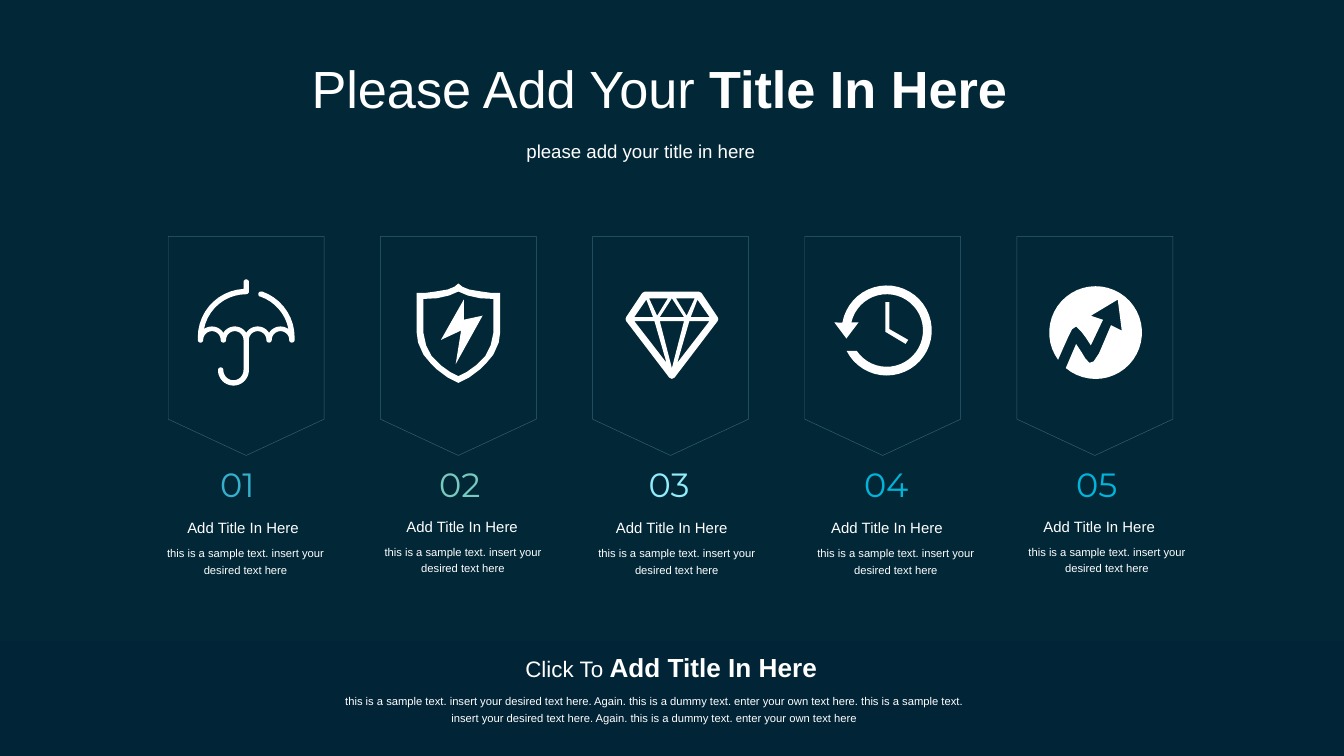
from dataclasses import dataclass
from math import ceil, cos, radians, sin

from lxml.etree import SubElement
from pptx import Presentation
from pptx.dml.color import RGBColor
from pptx.enum.shapes import MSO_SHAPE as Preset
from pptx.enum.text import MSO_AUTO_SIZE as AutoSize, PP_ALIGN as Align
from pptx.oxml.ns import qn
from pptx.util import Cm, Pt

NAVY = RGBColor(0x02, 0x28, 0x38)
FOOTER_NAVY = RGBColor(0x01, 0x24, 0x36)
WHITE = RGBColor(0xFF, 0xFF, 0xFF)
PALE_BLUE = RGBColor(0xA4, 0xE2, 0xFE)
BLUE = RGBColor(0x37, 0xB0, 0xCD)
GREEN = RGBColor(0x77, 0xCA, 0xC0)
AQUA = RGBColor(0x91, 0xEC, 0xFB)
CYAN = RGBColor(0x02, 0xB4, 0xDA)

Points = list[tuple[float, float]]

GRID = Cm(2.54) / 100  # unit of the banner and icon outlines
BANNER_LEFT, BANNER_TOP, BANNER_PITCH = 3.18, 4.47, 4.01
BANNER = [(0, 0), (116, 0), (116, 136), (58, 163), (0, 136)]
SAMPLE = "this is a sample text. insert your desired text here"
FOOTER_SENTENCES = f"{SAMPLE}. Again. this is a dummy text. enter your own text here"


@dataclass(frozen=True)
class Run:
    text: str
    size: float
    bold: bool = False
    color: RGBColor = WHITE
    font: str = "Arial"


@dataclass(frozen=True)
class Column:
    number: str
    color: RGBColor
    number_left: float
    body_left: float
    title_top: float
    icon: list[Points]


def arc(x: float, y: float, radius: float, start: float, end: float) -> Points:
    """Points on an arc; angles in degrees, clockwise from the right."""
    steps = max(2, ceil(abs(end - start) / 8))
    angles = [radians(start + (end - start) * i / steps) for i in range(steps + 1)]
    return [(x + radius * cos(a), y + radius * sin(a)) for a in angles]


def mirrored(half: Points, axis: float) -> Points:
    """Close a right half with its reflection."""
    return half + [(2 * axis - x, y) for x, y in reversed(half)]


def umbrella() -> list[Points]:
    def tip(x: float) -> Points:
        return arc(x, 77, 2, 0, 180)

    def underside(x: float) -> Points:
        return arc(x, 77, 6.5, 360, 180)

    outline = [
        tip(92), underside(83.5), tip(75), underside(66.5),
        arc(48.5, 99.5, 11.5, 0, 180), arc(39, 99.5, 2, 180, 360),
        arc(48.5, 99.5, 7.5, 180, 0),
        underside(49.5), tip(41), underside(32.5), tip(24),
        arc(58, 75, 36, 180, 267), arc(58, 34, 2, 180, 360),
        arc(58, 41, 2, 0, 90), arc(58, 75, 32, 270, 191),
        arc(32.5, 77, 10, 231, 328), arc(49.5, 77, 10, 212, 328),
        arc(66.5, 77, 10, 212, 328), arc(83.5, 77, 10, 212, 309),
        arc(58, 75, 32, 349, 289), arc(69, 43, 2, 109, 289),
        arc(58, 75, 36, 289, 360),
    ]
    return [sum(outline, [])]


def shield() -> list[Points]:
    outer = [(58, 35), (61, 37.5), (66, 39.5), (75, 41), (82, 42), (89, 42),
             (89, 72), (88, 79), (84, 88), (79, 94), (74, 99), (66, 105), (58, 109)]
    inner = [(58, 41), (65, 44), (74, 46), (84, 46.5), (84, 72), (82, 81),
             (78, 89), (71, 96), (64, 101), (58, 104)]
    bolt = [(62, 47), (45, 77), (60, 70), (56, 95), (76, 59), (62, 62)]
    return [mirrored(outer, 58), mirrored(inner, 58), bolt]


def diamond() -> list[Points]:
    outer = [(59, 41), (79, 41), (81, 42), (93, 60), (93.5, 61.5), (93, 63),
             (61, 105), (59, 106)]
    side_facets = [
        [(62, 46), (76, 46), (70, 59)],
        [(72, 63), (87, 63), (63, 94)],
        [(87, 60), (73, 60), (78, 47)],
    ]
    left_facets = [[(118 - x, y) for x, y in facet] for facet in side_facets]
    middle = [[(68, 63), (59, 98), (50, 63)], [(50, 60), (59, 46), (68, 60)]]
    return [mirrored(outer, 59), *side_facets, *left_facets, *middle]


def history_clock() -> list[Points]:
    arrow = [(40, 64), (31, 76), (22, 64)]
    ring = arc(61, 70, 33.5, 190, 513) + arc(61, 70, 27, 506, 193) + arrow
    hands = [(60, 49), (60, 71), (75, 80), (77, 77), (63, 69), (63, 49)]
    return [ring, hands]


def growth() -> list[Points]:
    zigzag = [(44, 80), (48, 86), (51, 91), (54, 94), (57, 93), (61, 87), (70, 66),
              (78, 70), (75, 47), (55, 59), (64, 62), (55, 81), (51, 75), (48, 71),
              (44, 67), (41, 69), (38, 75), (34, 84)]
    return [arc(58.5, 71.5, 34.5, 144, 490) + zigzag]


def add_outline(slide, contours: list[Points], left: float):
    """Draw closed contours as one shape, measured from a banner's corner."""
    scaled = [[(x * GRID, y * GRID) for x, y in contour] for contour in contours]
    builder = slide.shapes.build_freeform(*scaled[0][0], scale=1.0)
    builder.add_line_segments(scaled[0][1:], close=True)
    for contour in scaled[1:]:
        builder.move_to(*contour[0])
        builder.add_line_segments(contour[1:], close=True)
    shape = builder.convert_to_shape(Cm(left), Cm(BANNER_TOP))
    shape.shadow.inherit = False
    return shape


def add_banner(slide, left: float) -> None:
    banner = add_outline(slide, [BANNER], left)
    banner.fill.background()
    banner.line.width = Pt(0.25)
    banner.line.color.rgb = PALE_BLUE
    color = banner.line.fill._xPr.find(f".//{qn('a:srgbClr')}")
    SubElement(color, qn("a:alpha"), val="30000")


def add_filled(shape, color: RGBColor) -> None:
    shape.shadow.inherit = False
    shape.fill.solid()
    shape.fill.fore_color.rgb = color
    shape.line.fill.background()


def add_text(slide, left: float, top: float, width: float, height: float,
             runs: list[Run], body: bool = False) -> None:
    """Add one paragraph; body text wraps, is centred and has fixed leading."""
    box = slide.shapes.add_textbox(Cm(left), Cm(top), Cm(width), Cm(height))
    frame = box.text_frame
    frame.word_wrap = body
    frame.auto_size = AutoSize.SHAPE_TO_FIT_TEXT
    paragraph = frame.paragraphs[0]
    if body:
        for name, value in {"alignment": Align.CENTER, "line_spacing": Pt(9)}.items():
            setattr(paragraph, name, value)
    for item in runs:
        run = paragraph.add_run()
        run.text = item.text
        formats = {"name": item.font, "size": Pt(item.size), "bold": item.bold}
        for name, value in formats.items():
            setattr(run.font, name, value)
        run.font.color.rgb = item.color


def add_column(slide, column: Column, banner_left: float) -> None:
    add_banner(slide, banner_left)
    add_filled(add_outline(slide, column.icon, banner_left), WHITE)
    add_text(slide, column.number_left, 8.64, 1.37, 1.02,
             [Run(column.number, 18, color=column.color, font="Montserrat")])
    add_text(slide, column.number_left - 0.62, column.title_top, 2.67, 0.61,
             [Run("Add Title In Here", 8)])
    add_text(slide, column.body_left, column.title_top + 0.46, 4.14, 0.89,
             [Run(SAMPLE, 6)], body=True)


def main() -> None:
    presentation = Presentation()
    presentation.slide_width, presentation.slide_height = Cm(25.4), Cm(14.29)
    slide = presentation.slides.add_slide(presentation.slide_layouts[6])
    slide.background.fill.solid()
    slide.background.fill.fore_color.rgb = NAVY

    columns = [
        Column("01", BLUE, 3.91, 2.57, 9.68, umbrella()),
        Column("02", GREEN, 8.05, 6.68, 9.65, shield()),
        Column("03", AQUA, 12.01, 10.72, 9.68, diamond()),
        Column("04", CYAN, 16.08, 14.86, 9.68, history_clock()),
        Column("05", CYAN, 20.09, 18.85, 9.65, growth()),
    ]
    for index, column in enumerate(columns):
        add_column(slide, column, BANNER_LEFT + index * BANNER_PITCH)

    footer = slide.shapes.add_shape(Preset.RECTANGLE, 0, Cm(12.12), Cm(25.4), Cm(2.17))
    add_filled(footer, FOOTER_NAVY)
    add_text(slide, 6.15, 12.93, 12.42, 0.89,
             [Run(f"{FOOTER_SENTENCES}. {FOOTER_SENTENCES}", 6)], body=True)
    add_text(slide, 9.68, 12.19, 6.07, 0.86,
             [Run("Click To ", 12), Run("Add Title In Here", 14, bold=True)])
    add_text(slide, 5.64, 0.94, 13.82, 1.45,
             [Run("Please Add Your ", 28), Run("Title In Here", 28, bold=True)])
    add_text(slide, 9.7, 2.51, 4.85, 0.69, [Run("please add your title in here", 10)])

    presentation.save("out.pptx")


if __name__ == "__main__":
    main()
